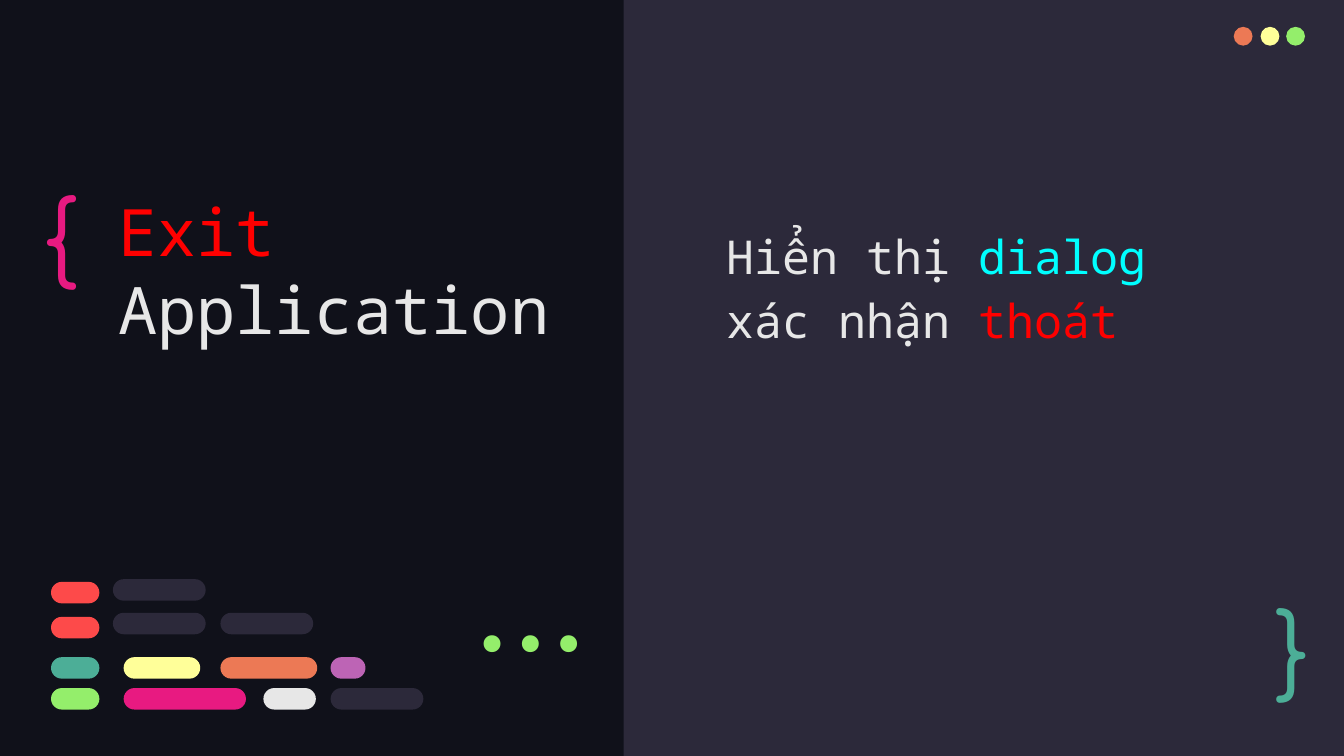
"""Builds a dark code-editor slide about confirming application exit."""
from dataclasses import dataclass

from pptx import Presentation
from pptx import util as u
from pptx.dml.color import RGBColor
from pptx.enum import shapes, text

PX = u.Inches(1) // 100


@dataclass(frozen=True)
class Theme:
    night: str = "10111A"
    panel: str = "2C293A"
    light: str = "E7E7E7"
    red: str = "FF0000"
    cyan: str = "00FFFF"
    coral: str = "FD4A4A"
    orange: str = "EC7955"
    yellow: str = "FFFF99"
    green: str = "94EE6B"
    teal: str = "4CAE97"
    pink: str = "E81A81"
    purple: str = "BD64B5"
    mono: str = "Noto Sans Mono"
    rounded: str = "Comfortaa"
    code: str = "Fira Code"
    title_size: int = 35
    body_size: int = 25
    symbol_size: int = 50


THEME = Theme()
WIDTH = 1000
PANEL_LEFT = 464
DOT_SIZE, DOT_TOP = 14, 20
BAR_HEIGHT = 16

TITLE = [[("Exit", THEME.red)], [("Application", THEME.light)]]
BODY = [
    [("Hiển thị ", THEME.light), ("dialog", THEME.cyan)],
    [("xác nhận ", THEME.light), ("thoát", THEME.red)],
]
WINDOW_DOTS = [(918, THEME.orange), (938, THEME.yellow), (957, THEME.green)]
CODE_BARS = [
    (431, [(84, 69, THEME.panel)]),
    (433, [(38, 36, THEME.coral)]),
    (456, [(84, 69, THEME.panel), (164, 69, THEME.panel)]),
    (459, [(38, 36, THEME.coral)]),
    (489, [(38, 36, THEME.teal), (92, 57, THEME.yellow),
           (164, 72, THEME.orange), (246, 26, THEME.purple)]),
    (512, [(38, 36, THEME.green), (92, 91, THEME.pink),
           (196, 39, THEME.light), (246, 69, THEME.panel)]),
]
TOP, MIDDLE, BOTTOM = text.MSO_ANCHOR.TOP, text.MSO_ANCHOR.MIDDLE, text.MSO_ANCHOR.BOTTOM
LEFT, RIGHT = text.PP_ALIGN.LEFT, text.PP_ALIGN.RIGHT
SYMBOLS = [
    ("{", (22, 120, 77, 95), THEME.rounded, THEME.pink, TOP, LEFT),
    ("}", (939, 438, 57, 83), THEME.rounded, THEME.teal, MIDDLE, LEFT),
    ("...", (311, 449, 158, 60), THEME.code, THEME.green, BOTTOM, RIGHT),
]


def scaled(box):
    return [length * PX for length in box]


def add_filled(container, kind, box, color):
    shape = container.add_shape(kind, *scaled(box))
    shape.shadow.inherit = False
    shape.fill.solid()
    shape.fill.fore_color.rgb = RGBColor.from_string(color)
    shape.line.fill.background()
    return shape


def add_text(slide, box, lines, font, size, anchor=TOP, align=LEFT, spacing=1.0):
    frame = slide.shapes.add_textbox(*scaled(box)).text_frame
    frame.word_wrap = True
    frame.vertical_anchor = anchor
    frame.margin_left = frame.margin_right = 10 * PX
    frame.margin_top = frame.margin_bottom = 10 * PX
    for index, line in enumerate(lines):
        paragraph = frame.add_paragraph() if index else frame.paragraphs[0]
        paragraph.alignment = align
        paragraph.line_spacing = spacing
        paragraph.font.name = font
        paragraph.font.size = u.Pt(size)
        for words, color in line:
            run = paragraph.add_run()
            run.text = words
            run.font.color.rgb = RGBColor.from_string(color)


def main():
    presentation = Presentation()
    presentation.slide_width = WIDTH * PX
    presentation.slide_height = presentation.slide_width * 9 // 16
    slide = presentation.slides.add_slide(presentation.slide_layouts[6])
    slide.background.fill.solid()
    slide.background.fill.fore_color.rgb = RGBColor.from_string(THEME.night)

    panel = add_filled(slide.shapes, shapes.MSO_SHAPE.RECTANGLE,
                       (PANEL_LEFT, 0, WIDTH - PANEL_LEFT, 562), THEME.panel)
    panel.height = presentation.slide_height
    add_text(slide, (78, 153, 355, 116), TITLE, THEME.mono, THEME.title_size, BOTTOM)

    window_dots = slide.shapes.add_group_shape().shapes
    for left, color in WINDOW_DOTS:
        add_filled(window_dots, shapes.MSO_SHAPE.OVAL,
                   (left, DOT_TOP, DOT_SIZE, DOT_SIZE), color)

    for symbol, box, font, color, anchor, align in SYMBOLS:
        add_text(slide, box, [[(symbol, color)]], font, THEME.symbol_size, anchor, align)

    code_bars = slide.shapes.add_group_shape().shapes
    for top, bars in CODE_BARS:
        for left, width, color in bars:
            bar = add_filled(code_bars, shapes.MSO_SHAPE.ROUNDED_RECTANGLE,
                             (left, top, width, BAR_HEIGHT), color)
            bar.adjustments[0] = 0.5

    add_text(slide, (531, 153, 408, 334), BODY, THEME.mono, THEME.body_size, spacing=1.15)
    presentation.save("out.pptx")


if __name__ == "__main__":
    main()
